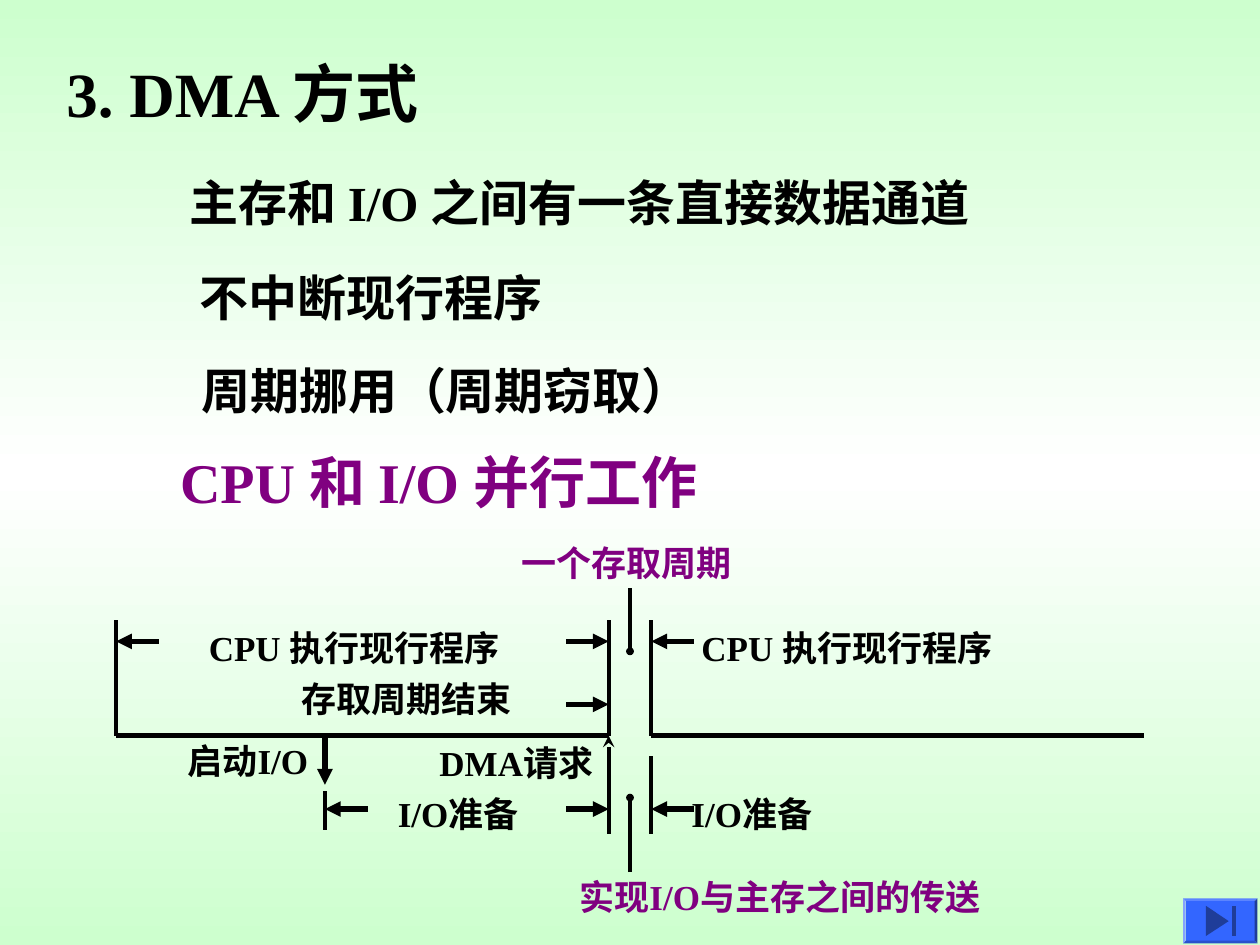
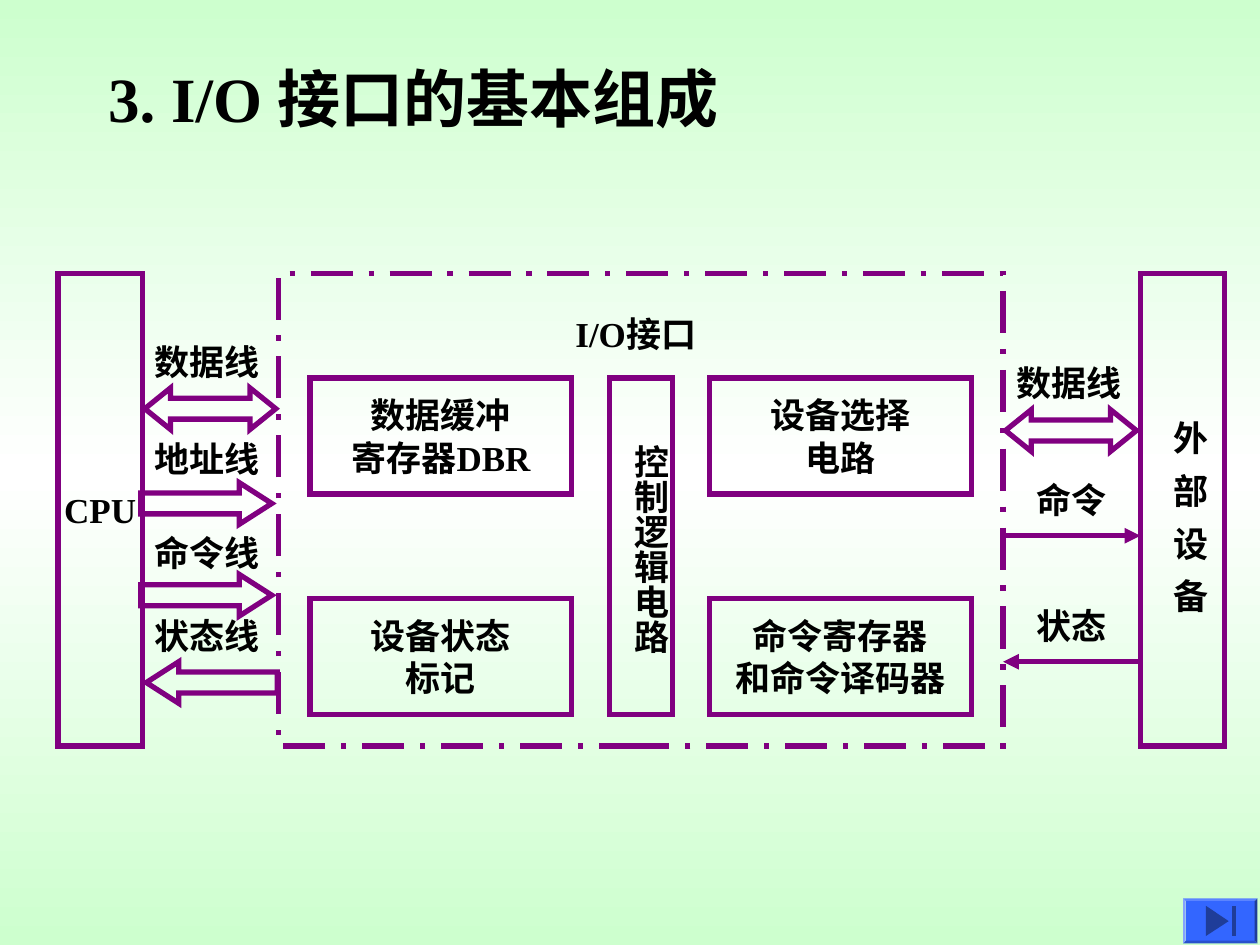
from dataclasses import dataclass

from lxml import etree
from pptx import Presentation
from pptx.dml.color import RGBColor
from pptx.enum.dml import MSO_LINE
from pptx.enum.lang import MSO_LANGUAGE_ID
from pptx.enum.shapes import MSO_CONNECTOR, MSO_SHAPE
from pptx.enum.text import MSO_ANCHOR, PP_ALIGN
from pptx.oxml.ns import qn
from pptx.util import Cm, Pt

RECTANGLE = MSO_SHAPE.RECTANGLE
BEVEL = MSO_SHAPE.BEVEL
BOTH_WAYS = MSO_SHAPE.LEFT_RIGHT_ARROW
TO_RIGHT = MSO_SHAPE.RIGHT_ARROW
TO_LEFT = MSO_SHAPE.LEFT_ARROW
STRAIGHT = MSO_CONNECTOR.STRAIGHT
DASH_DOT = MSO_LINE.LONG_DASH_DOT
MIDDLE = MSO_ANCHOR.MIDDLE
CENTER = PP_ALIGN.CENTER
CHINESE = MSO_LANGUAGE_ID.SIMPLIFIED_CHINESE


@dataclass(frozen=True)
class Theme:
    font: str = "Times New Roman"
    ink: str = "000000"
    accent: str = "800080"
    edge: str = "CDFFCE"
    centre: str = "FFFFFF"
    button: str = "3366FF"
    button_icon: str = "1F3D99"
    title: int = 36
    highlight: int = 32
    statement: int = 28
    label: int = 20
    thick: float = 3
    thin: float = 2.25


THEME = Theme()
TEXT_HEIGHT = {THEME.title: 1.78, THEME.highlight: 1.63,
               THEME.statement: 1.45, THEME.label: 1.12}

# All positions are centimetres. Texts are (text, left, top, width).
DMA_TITLE = ("3. DMA 方式", 1.09, 0.97, 7.98)
DMA_STATEMENTS = [
    ("主存和 I/O 之间有一条直接数据通道", 3.58, 3.35, 16.69),
    ("不中断现行程序", 3.78, 5.26, 7.42),
    ("周期挪用（周期窃取）", 3.81, 7.14, 10.36),
]
DMA_HIGHLIGHT = ("CPU 和 I/O 并行工作", 3.38, 8.89, 11.73)
TIMELINE_LABELS = [
    ("CPU 执行现行程序", 3.96, 12.5, 6.73),
    ("CPU 执行现行程序", 13.89, 12.5, 6.73),
    ("存取周期结束", 5.82, 13.54, 4.75),
    ("启动I/O", 3.53, 14.78, 3.1),
    ("DMA请求", 8.61, 14.83, 3.78),
    ("I/O准备", 7.77, 15.85, 3.1),
    ("I/O准备", 13.69, 15.85, 3.1),
]
CYCLE_LABELS = [
    ("一个存取周期", 10.26, 10.8, 4.75),
    ("实现I/O与主存之间的传送", 11.43, 17.53, 9.09),
]

START, START_IO, CYCLE_START, CYCLE_MIDDLE, CYCLE_END, FINISH = (
    2.34, 6.55, 12.27, 12.7, 13.13, 23.06)
BASELINE, MARK_TOP, MARK_BOTTOM = 14.83, 12.5, 16.81
CPU_ROW, END_ROW, IO_ROW = 12.93, 14.2, 16.31
SPAN_ARROW = 0.86

# (x1, y1, x2, y2, weight, arrowhead at the second point)
TIMELINE = [
    (START, BASELINE, CYCLE_START, BASELINE, THEME.thick, None),
    (CYCLE_END, BASELINE, FINISH, BASELINE, THEME.thick, None),
    (START, MARK_TOP, START, BASELINE, THEME.thin, None),
    (CYCLE_START, MARK_TOP, CYCLE_START, BASELINE, THEME.thin, None),
    (CYCLE_END, MARK_TOP, CYCLE_END, BASELINE, THEME.thin, None),
    (CYCLE_START, MARK_BOTTOM, CYCLE_START, BASELINE, THEME.thin, "stealth"),
    (CYCLE_END, 15.24, CYCLE_END, MARK_BOTTOM, THEME.thin, None),
    (START_IO, BASELINE, START_IO, 15.82, THEME.thick, "triangle"),
    (START_IO, 15.95, START_IO, 16.74, THEME.thin, None),
    (CYCLE_MIDDLE, 11.86, CYCLE_MIDDLE, 13.13, THEME.thin, "oval"),
    (CYCLE_MIDDLE, 17.58, CYCLE_MIDDLE, 16.08, THEME.thin, "oval"),
]
# (tip, row, side the arrow comes from: -1 left, 1 right)
SPAN_ENDS = [
    (START, CPU_ROW, 1), (CYCLE_START, CPU_ROW, -1), (CYCLE_END, CPU_ROW, 1),
    (CYCLE_START, END_ROW, -1),
    (START_IO, IO_ROW, 1), (CYCLE_START, IO_ROW, -1), (CYCLE_END, IO_ROW, 1),
]

INTERFACE_TITLE = ("3. I/O 接口的基本组成", 1.93, 1.07, 13.11)
UNIT_TOP, UNIT_HEIGHT, UNIT_WIDTH = 5.51, 9.53, 1.7
CPU_LEFT, DEVICE_LEFT = 1.17, 22.99
INTERFACE_LEFT, INTERFACE_WIDTH = 5.61, 14.61
BLOCK_COLUMNS, BLOCK_ROWS = (6.25, 14.3), (7.62, 12.07)
BLOCK_WIDTH, BLOCK_HEIGHT = 5.28, 2.34
BLOCKS = [
    ["数据缓冲\n寄存器DBR", "设备选择\n电路"],
    ["设备状态\n标记", "命令寄存器\n和命令译码器"],
]
CONTROL_LEFT, CONTROL_WIDTH = 12.29, 1.27
# (text, left, top, width, height, letter spacing in hundredths of a point)
VERTICAL_LABELS = [
    ("控制逻辑电路", 12.32, 8.71, 1.35, 5, 0),
    ("外部设备", 23.19, 8.24, 1.35, 4.9, 1000),
]
INTERFACE_LABELS = [
    ("I/O接口", 11.35, 6.17, 3.1),
    ("数据线", 2.87, 6.73, 2.62),
    ("地址线", 2.87, 8.69, 2.62),
    ("命令线", 2.87, 10.59, 2.62),
    ("状态线", 2.87, 12.27, 2.62),
    ("数据线", 20.24, 7.16, 2.62),
    ("命令", 20.65, 9.53, 1.9),
    ("状态", 20.65, 12.07, 1.9),
]
BUS_WIDTH, BUS_HEIGHT = 2.64, 0.84
# (preset, left, top, head length)
BUSES = [
    (BOTH_WAYS, 2.92, 7.82, 0.62),
    (TO_RIGHT, 2.84, 9.73, 0.78),
    (TO_RIGHT, 2.84, 11.58, 0.78),
    (TO_LEFT, 2.95, 13.34, 0.78),
    (BOTH_WAYS, 20.27, 8.26, 0.62),
]
INTERFACE_RIGHT = INTERFACE_LEFT + INTERFACE_WIDTH
SIGNALS = [
    (INTERFACE_RIGHT, 10.8, DEVICE_LEFT, 10.8, THEME.thick, "triangle"),
    (DEVICE_LEFT, 13.34, INTERFACE_RIGHT, 13.34, THEME.thick, "triangle"),
]

BUTTON = (23.85, 18.11, 1.5, 0.91)
BUTTON_ICON = [
    [(24.31, 18.26), (24.77, 18.57), (24.31, 18.87)],
    [(24.84, 18.26), (24.92, 18.26), (24.92, 18.87), (24.84, 18.87)],
]


def rgb(colour):
    return RGBColor.from_string(colour)


def lengths(*values):
    return [Cm(value) for value in values]


def write(text_frame, text, size, colour, align=None):
    text_frame.text = text
    for paragraph in text_frame.paragraphs:
        paragraph.alignment = align
        for run in paragraph.runs:
            run.font.name = THEME.font
            run.font.size = Pt(size)
            run.font.bold = True
            run.font.color.rgb = rgb(colour)
            run.font.language_id = CHINESE


def add_text(slide, label, size=THEME.label, colour=THEME.ink):
    """Add a one-line text; the missing right margin keeps it from breaking."""
    text, left, top, width = label
    shape = slide.shapes.add_textbox(
        *lengths(left, top, width, TEXT_HEIGHT[size]))
    shape.text_frame.word_wrap = True
    shape.text_frame.margin_right = 0
    write(shape.text_frame, text, size, colour)


def add_vertical_text(slide, text, left, top, width, height, spacing):
    shape = slide.shapes.add_textbox(*lengths(left, top, width, height))
    frame = shape.text_frame
    frame.word_wrap = True
    frame.margin_left = frame.margin_right = Cm(0.13)
    frame.margin_top = frame.margin_bottom = Cm(0.25)
    write(frame, text, THEME.label, THEME.ink)
    shape.element.find(".//" + qn("a:bodyPr")).set("vert", "eaVert")
    shape.element.find(".//" + qn("a:rPr")).set("spc", str(spacing))


def add_line(slide, x1, y1, x2, y2, weight, head, colour=THEME.ink):
    line = slide.shapes.add_connector(STRAIGHT, *lengths(x1, y1, x2, y2))
    line.line.color.rgb = rgb(colour)
    line.line.width = Pt(weight)
    properties = line.element.spPr
    if head:
        size = "sm" if head == "oval" else "med"
        etree.SubElement(properties.find(qn("a:ln")), qn("a:tailEnd"),
                         type=head, w=size, len=size)
    etree.SubElement(properties, qn("a:effectLst"))


def add_outline(slide, preset, left, top, width, height, text="", dash=None):
    """Add an unfilled shape with sharp accent edges and centred text."""
    shape = slide.shapes.add_shape(preset, *lengths(left, top, width, height))
    shape.shadow.inherit = False
    shape.fill.background()
    shape.line.color.rgb = rgb(THEME.accent)
    shape.line.width = Pt(THEME.thick)
    if dash:
        shape.line.dash_style = dash
    outline = shape.element.spPr.find(qn("a:ln"))
    etree.SubElement(outline, qn("a:miter"), lim="800000")
    if text:
        frame = shape.text_frame
        frame.margin_left = frame.margin_right = 0
        frame.word_wrap = False
        frame.vertical_anchor = MIDDLE
        write(frame, text, THEME.label, THEME.ink, CENTER)
    return shape


def paint(shape, colour):
    shape.shadow.inherit = False
    shape.fill.solid()
    shape.fill.fore_color.rgb = rgb(colour)
    shape.line.fill.background()


def add_end_button(slide):
    button = slide.shapes.add_shape(BEVEL, *lengths(*BUTTON))
    button.adjustments[0] = 0.06
    paint(button, THEME.button)
    for outline in BUTTON_ICON:
        points = [lengths(*point) for point in outline]
        builder = slide.shapes.build_freeform(*points[0])
        builder.add_line_segments(points[1:], close=True)
        paint(builder.convert_to_shape(), THEME.button_icon)


def set_background(master):
    fill = master.background.fill
    fill.gradient()
    fill.gradient_angle = 270
    stops = master.element.find(".//" + qn("p:bg")).find(".//" + qn("a:gsLst"))
    for stop in list(stops):
        stops.remove(stop)
    for position, colour in ((0, THEME.edge), (50, THEME.centre), (100, THEME.edge)):
        stop = etree.SubElement(stops, qn("a:gs"), pos=str(position * 1000))
        etree.SubElement(stop, qn("a:srgbClr"), val=colour)


def add_slide(presentation, title):
    slide = presentation.slides.add_slide(presentation.slide_layouts[6])
    add_text(slide, title, THEME.title)
    add_end_button(slide)
    return slide


def build_dma_slide(presentation):
    slide = add_slide(presentation, DMA_TITLE)
    for statement in DMA_STATEMENTS:
        add_text(slide, statement, THEME.statement)
    add_text(slide, DMA_HIGHLIGHT, THEME.highlight, THEME.accent)
    for line in TIMELINE:
        add_line(slide, *line)
    for tip, row, side in SPAN_ENDS:
        add_line(slide, tip + side * SPAN_ARROW, row, tip, row,
                 THEME.thick, "triangle")
    for label in TIMELINE_LABELS:
        add_text(slide, label)
    for label in CYCLE_LABELS:
        add_text(slide, label, colour=THEME.accent)


def build_interface_slide(presentation):
    slide = add_slide(presentation, INTERFACE_TITLE)
    add_outline(slide, RECTANGLE, INTERFACE_LEFT, UNIT_TOP, INTERFACE_WIDTH,
                UNIT_HEIGHT, dash=DASH_DOT)
    for left, name in ((CPU_LEFT, "CPU"), (DEVICE_LEFT, "")):
        add_outline(slide, RECTANGLE, left, UNIT_TOP, UNIT_WIDTH, UNIT_HEIGHT, name)
    for top, names in zip(BLOCK_ROWS, BLOCKS):
        for left, name in zip(BLOCK_COLUMNS, names):
            add_outline(slide, RECTANGLE, left, top, BLOCK_WIDTH, BLOCK_HEIGHT, name)
    control_height = BLOCK_ROWS[-1] + BLOCK_HEIGHT - BLOCK_ROWS[0]
    add_outline(slide, RECTANGLE, CONTROL_LEFT, BLOCK_ROWS[0],
                CONTROL_WIDTH, control_height)
    for preset, left, top, head in BUSES:
        bus = add_outline(slide, preset, left, top, BUS_WIDTH, BUS_HEIGHT)
        bus.adjustments[0] = 0.5
        bus.adjustments[1] = head
    for signal in SIGNALS:
        add_line(slide, *signal, colour=THEME.accent)
    for label in INTERFACE_LABELS:
        add_text(slide, label)
    for label in VERTICAL_LABELS:
        add_vertical_text(slide, *label)


def main():
    presentation = Presentation()
    presentation.slide_width, presentation.slide_height = lengths(25.4, 19.05)
    set_background(presentation.slide_master)
    build_dma_slide(presentation)
    build_interface_slide(presentation)
    presentation.save("out.pptx")


if __name__ == "__main__":
    main()
